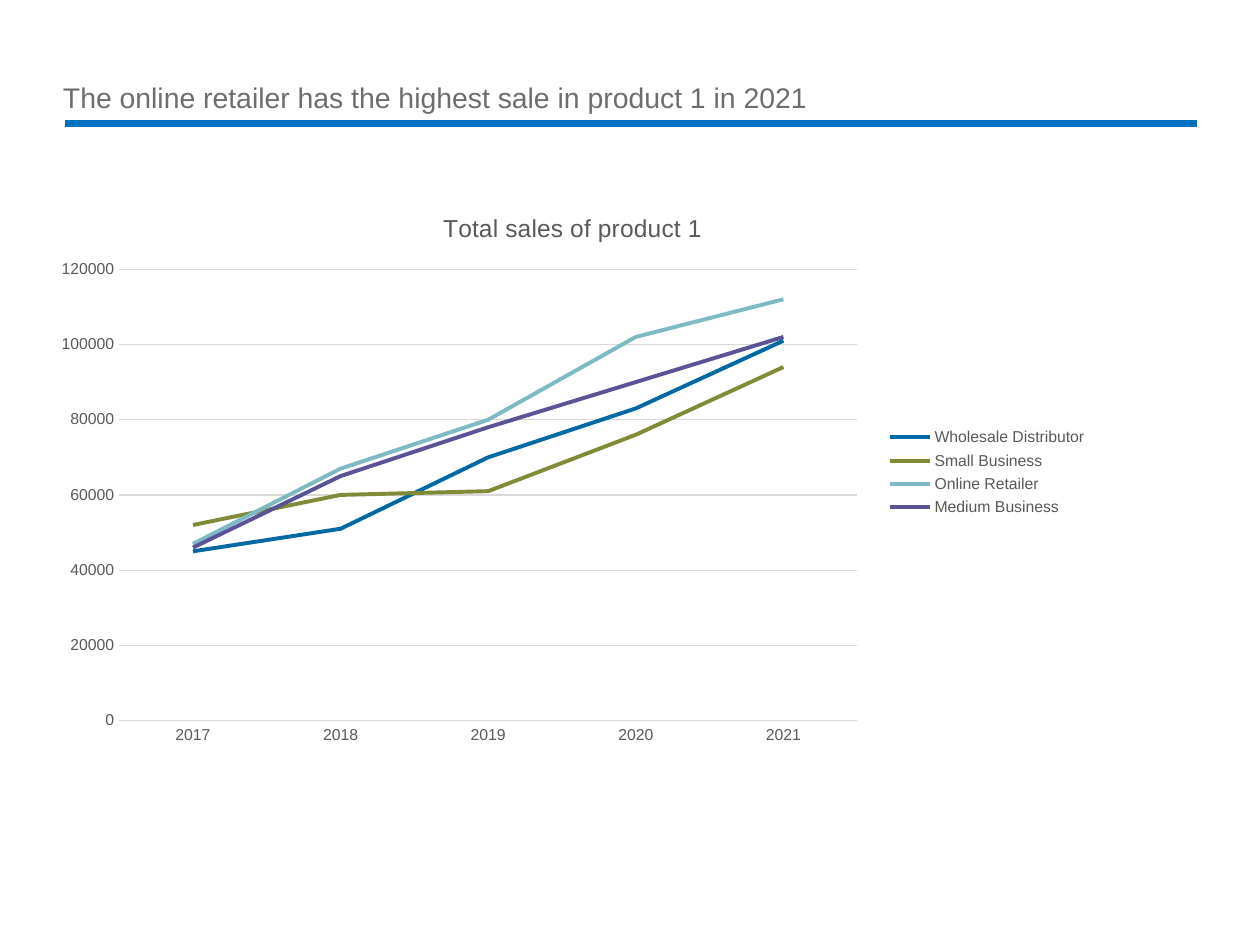
from dataclasses import dataclass
from lxml import etree
from pptx import Presentation
from pptx.chart.data import CategoryChartData
from pptx.dml.color import RGBColor
from pptx.enum.chart import XL_CHART_TYPE, XL_LEGEND_POSITION, XL_TICK_MARK
from pptx.enum.shapes import MSO_CONNECTOR
from pptx.enum.text import MSO_ANCHOR
from pptx.oxml.ns import qn
from pptx.util import Inches, Pt

LINE = XL_CHART_TYPE.LINE
RIGHT = XL_LEGEND_POSITION.RIGHT
NONE = XL_TICK_MARK.NONE
STRAIGHT = MSO_CONNECTOR.STRAIGHT
MIDDLE = MSO_ANCHOR.MIDDLE


@dataclass(frozen=True)
class Theme:
    font: str = "Arial"
    head: str = "6D6E6A"
    rule: str = "0070C0"
    text: str = "595959"
    grid: str = "D9D9D9"
    head_size: float = 16.2
    title_size: float = 14
    label_size: float = 9
    rule_width: float = 4.5
    grid_width: float = 0.75
    line_width: float = 2.25


THEME = Theme()
WIDTH, HEIGHT = Inches(10), Inches(7.5)
COLS, ROWS = 100, 75

HEAD = "The online retailer has the highest sale in product 1 in 2021"
TITLE = "Total sales of product 1"
YEARS = ["2017", "2018", "2019", "2020", "2021"]
SALES = [
    ("Wholesale Distributor", "0069A3", [45000, 51000, 70000, 83000, 101000]),
    ("Small Business", "818A37", [52000, 60000, 61000, 76000, 94000]),
    ("Online Retailer", "7DBAC4", [47000, 67000, 80000, 102000, 112000]),
    ("Medium Business", "5A5397", [46000, 65000, 78000, 90000, 102000]),
]
PLOT = {"x": 0.07, "y": 0.14, "w": 0.7, "h": 0.8}


def cell(left, top, width, height):
    col, row = WIDTH / COLS, HEIGHT / ROWS
    return int(left * col), int(top * row), int(width * col), int(height * row)


def set_font(font, size, color):
    font.name = THEME.font
    font.size = Pt(size)
    font.bold = False
    font.color.rgb = RGBColor.from_string(color)


def set_line(line, width, color):
    line.width = Pt(width)
    line.color.rgb = RGBColor.from_string(color)


def add_rule(slide, box):
    left, top, width, height = box
    rule = slide.shapes.add_connector(
        STRAIGHT, left, top, left + width, top + height)
    set_line(rule.line, THEME.rule_width, THEME.rule)
    etree.SubElement(rule.element.spPr, qn("a:effectLst"))


def add_head(slide, box):
    frame = slide.shapes.add_textbox(*box).text_frame
    frame.word_wrap = True
    frame.vertical_anchor = MIDDLE
    frame.margin_left = frame.margin_right = 0
    frame.margin_top = frame.margin_bottom = Inches(0.05)
    para = frame.paragraphs[0]
    para.line_spacing = 0.9
    run = para.add_run()
    run.text = HEAD
    set_font(run.font, THEME.head_size, THEME.head)


def set_plot(chart):
    area = chart.element.find(".//" + qn("c:plotArea"))
    for old in area.findall(qn("c:layout")):
        area.remove(old)
    layout = etree.Element(qn("c:layout"))
    area.insert(0, layout)
    manual = etree.SubElement(layout, qn("c:manualLayout"))
    parts = {"layoutTarget": "inner", "xMode": "edge", "yMode": "edge", **PLOT}
    for name, value in parts.items():
        etree.SubElement(manual, qn("c:" + name), val=str(value))


def set_axes(chart):
    years, sales = chart.category_axis, chart.value_axis
    for axis in (years, sales):
        axis.major_tick_mark = axis.minor_tick_mark = NONE
        set_font(axis.tick_labels.font, THEME.label_size, THEME.text)
    set_line(years.format.line, THEME.grid_width, THEME.grid)
    sales.format.line.fill.background()
    sales.has_major_gridlines = True
    set_line(sales.major_gridlines.format.line, THEME.grid_width, THEME.grid)
    sales.minimum_scale, sales.maximum_scale = 0, 120000
    sales.major_unit = 20000
    sales.tick_labels.number_format = "General"
    sales.tick_labels.number_format_is_linked = False


def add_sales(slide, box):
    data = CategoryChartData()
    data.categories = YEARS
    for name, _, values in SALES:
        data.add_series(name, values)
    chart = slide.shapes.add_chart(LINE, *box, data).chart
    chart.font.name = THEME.font
    chart.font.size = Pt(THEME.label_size)

    chart.has_title = True
    run = chart.chart_title.text_frame.paragraphs[0].add_run()
    run.text = TITLE
    set_font(run.font, THEME.title_size, THEME.text)

    chart.has_legend = True
    chart.legend.position = RIGHT
    chart.legend.include_in_layout = False
    set_font(chart.legend.font, THEME.label_size, THEME.text)

    plot = chart.plots[0]
    plot.vary_by_categories = False
    for series, (_, color, _) in zip(plot.series, SALES):
        series.smooth = False
        set_line(series.format.line, THEME.line_width, color)
    set_axes(chart)
    set_plot(chart)


def main():
    deck = Presentation()
    deck.slide_width, deck.slide_height = WIDTH, HEIGHT
    slide = deck.slides.add_slide(deck.slide_layouts[6])
    add_rule(slide, cell(5.2, 9.8, 89.8, 0))
    add_head(slide, cell(5, 6.4, 90, 3))
    add_sales(slide, cell(3.6, 15.1, 83.7, 44.8))
    deck.save("out.pptx")


if __name__ == "__main__":
    main()
